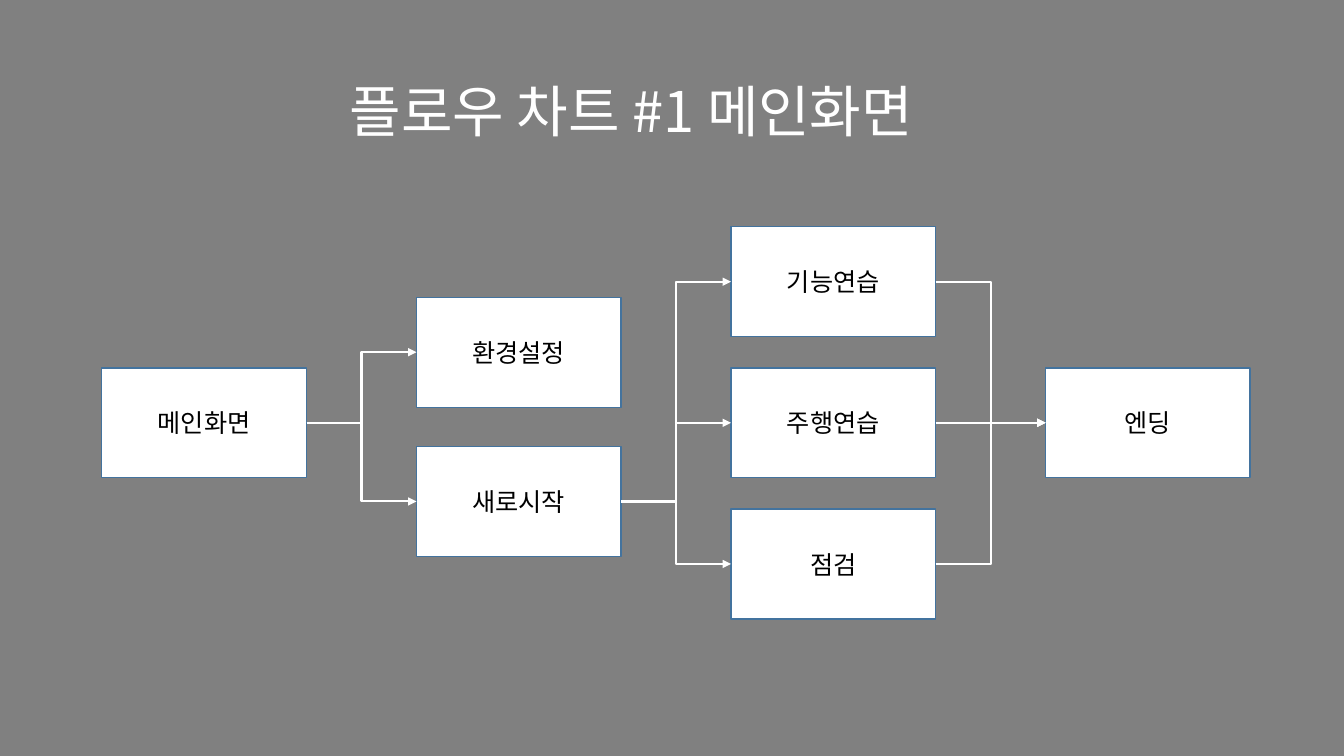
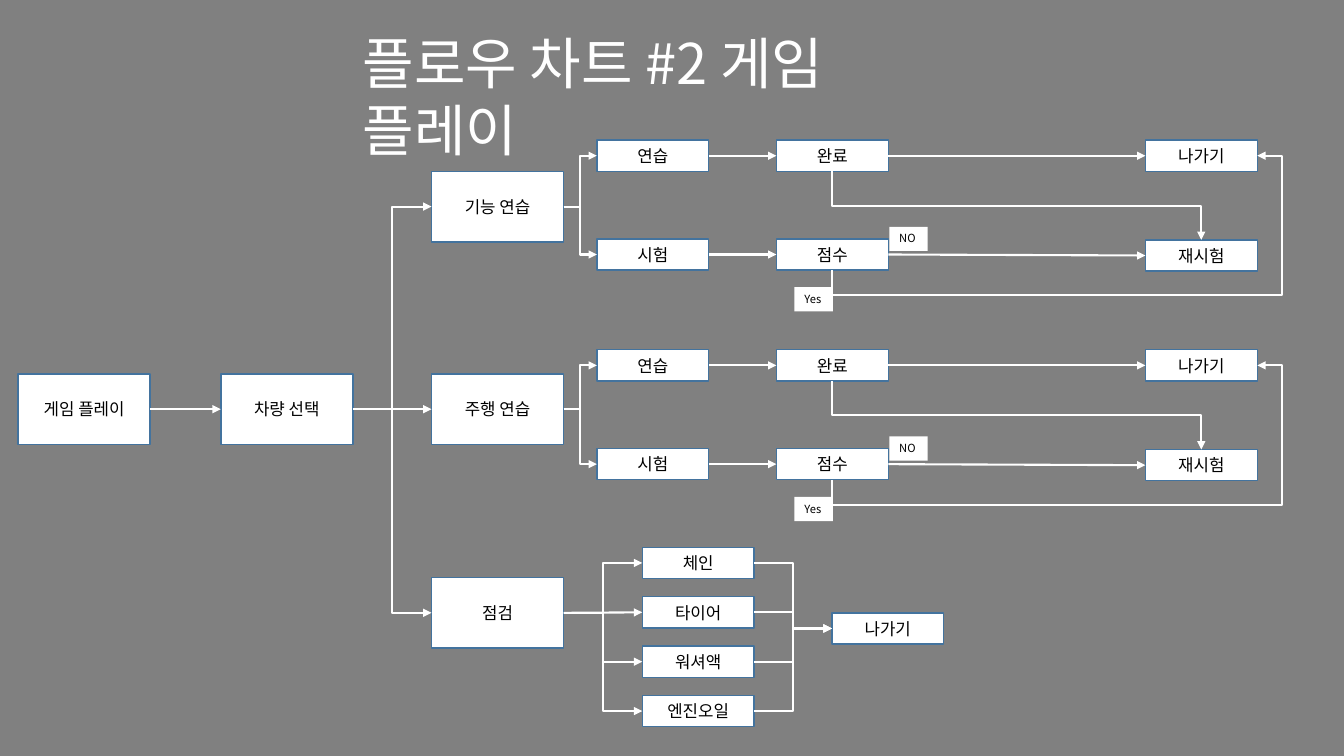
from dataclasses import dataclass

from lxml.etree import SubElement
from pptx import Presentation
from pptx.dml.color import RGBColor
from pptx.enum.shapes import MSO_CONNECTOR, MSO_SHAPE
from pptx.enum.text import MSO_ANCHOR, MSO_AUTO_SIZE, PP_ALIGN
from pptx.oxml.ns import qn
from pptx.shapes.autoshape import Shape
from pptx.shapes.connector import Connector
from pptx.slide import Slide
from pptx.text.text import TextFrame
from pptx.util import Inches, Pt

GRAY = RGBColor(0x80, 0x80, 0x80)
WHITE = RGBColor(0xFF, 0xFF, 0xFF)
BLACK = RGBColor(0x00, 0x00, 0x00)
BLUE = RGBColor(0x43, 0x73, 0x9E)
FONT = "Noto Sans CJK KR"
TOP, LEFT, BOTTOM, RIGHT = range(4)


@dataclass(frozen=True)
class NodeStyle:
    width: float
    height: float
    size: int


@dataclass(frozen=True)
class Point:
    x: float
    y: float


MAIN = NodeStyle(2.03, 1.09, 18)
STAGE = NodeStyle(1.31, 0.7, 12)
STEP = NodeStyle(1.11, 0.31, 12)


@dataclass(frozen=True)
class Node:
    shape: Shape
    left: float
    top: float
    style: NodeStyle

    def site(self, side: int) -> Point:
        across = {LEFT: 0, RIGHT: 1}.get(side, 0.5)
        down = {TOP: 0, BOTTOM: 1}.get(side, 0.5)
        return Point(self.left + across * self.style.width, self.top + down * self.style.height)


def write_text(
    frame: TextFrame,
    text: str,
    *,
    size: int,
    color: RGBColor,
    align: PP_ALIGN = PP_ALIGN.LEFT,
    anchor: MSO_ANCHOR = MSO_ANCHOR.TOP,
    wrap: bool = True,
) -> None:
    frame.word_wrap = wrap
    frame.vertical_anchor = anchor
    para = frame.paragraphs[0]
    para.alignment = align
    span = para.add_run()
    span.text = text
    span.font.size = Pt(size)
    span.font.color.rgb = color
    span.font.name = FONT
    SubElement(span._r.get_or_add_rPr(), qn("a:ea"), typeface=FONT)


def add_page(deck: Presentation, title: str, corner: Point, width: float) -> Slide:
    page = deck.slides.add_slide(deck.slide_layouts[5])
    heading = page.shapes.title
    heading.left, heading.top = Inches(corner.x), Inches(corner.y)
    heading.width, heading.height = Inches(width), Inches(0.77)
    heading.text_frame.auto_size = MSO_AUTO_SIZE.NONE
    write_text(heading.text_frame, title, size=40, color=WHITE)
    return page


def add_node(page: Slide, text: str, left: float, top: float, style: NodeStyle) -> Node:
    shape = page.shapes.add_shape(
        MSO_SHAPE.RECTANGLE, Inches(left), Inches(top), Inches(style.width), Inches(style.height)
    )
    shape.shadow.inherit = False
    shape.fill.solid()
    shape.fill.fore_color.rgb = WHITE
    shape.line.color.rgb = BLUE
    shape.line.width = Pt(1)
    write_text(
        shape.text_frame, text, size=style.size, color=BLACK,
        align=PP_ALIGN.CENTER, anchor=MSO_ANCHOR.MIDDLE,
    )
    return Node(shape, left, top, style)


def add_label(page: Slide, text: str, left: float, top: float) -> None:
    box = page.shapes.add_textbox(Inches(left), Inches(top), Inches(0.38), Inches(0.24))
    box.fill.solid()
    box.fill.fore_color.rgb = WHITE
    write_text(box.text_frame, text, size=8, color=BLACK, wrap=False)


def add_arrow(page: Slide, kind: MSO_CONNECTOR, start: Point, end: Point) -> Connector:
    arrow = page.shapes.add_connector(
        kind, Inches(start.x), Inches(start.y), Inches(end.x), Inches(end.y)
    )
    arrow.line.color.rgb = WHITE
    arrow.line.width = Pt(1.5)
    SubElement(arrow.line._get_or_add_ln(), qn("a:tailEnd"), type="triangle")
    SubElement(arrow._element.spPr, qn("a:effectLst"))
    return arrow


def connect(page: Slide, source: Node, target: Node) -> None:
    start, end = source.site(RIGHT), target.site(LEFT)
    level = abs(start.y - end.y) < 0.03
    kind = MSO_CONNECTOR.STRAIGHT if level else MSO_CONNECTOR.ELBOW
    arrow = add_arrow(page, kind, start, end)
    arrow.begin_connect(source.shape, RIGHT)
    arrow.end_connect(target.shape, LEFT)


def connect_down(
    page: Slide, start: Point, end: Point, bends: tuple[int, ...] = (50000,)
) -> None:
    middle = Point((start.x + end.x) / 2, (start.y + end.y) / 2)

    def turn_back(point: Point) -> Point:
        return Point(middle.x + point.y - middle.y, middle.y - point.x + middle.x)

    arrow = add_arrow(page, MSO_CONNECTOR.ELBOW, turn_back(start), turn_back(end))
    properties = arrow._element.spPr
    properties.find(qn("a:xfrm")).set("rot", "5400000")
    geometry = properties.find(qn("a:prstGeom"))
    geometry.set("prst", f"bentConnector{len(bends) + 2}")
    guides = geometry.find(qn("a:avLst"))
    if guides is None:
        guides = SubElement(geometry, qn("a:avLst"))
    for number, bend in enumerate(bends, 1):
        SubElement(guides, qn("a:gd"), name=f"adj{number}", fmla=f"val {bend}")


def draw_main_screen(deck: Presentation) -> None:
    page = add_page(deck, "플로우 차트 #1 메인화면", Point(3.37, 0.71), 5.92)
    columns = [1.01 + 3.12 * index for index in range(4)]
    start = add_node(page, "메인화면", columns[0], 3.65, MAIN)
    settings = add_node(page, "환경설정", columns[1], 2.95, MAIN)
    new_game = add_node(page, "새로시작", columns[1], 4.43, MAIN)
    ending = add_node(page, "엔딩", columns[3], 3.65, MAIN)
    connect(page, start, settings)
    connect(page, start, new_game)
    for index, text in enumerate(("기능연습", "주행연습", "점검")):
        mode = add_node(page, text, columns[2], 2.25 + 1.4 * index, MAIN)
        connect(page, new_game, mode)
        connect(page, mode, ending)


def draw_practice(page: Slide, stage: Node, top: float) -> None:
    lower = top + 0.98
    practice = add_node(page, "연습", 5.92, top, STEP)
    test = add_node(page, "시험", 5.92, lower, STEP)
    done = add_node(page, "완료", 7.7, top, STEP)
    score = add_node(page, "점수", 7.7, lower, STEP)
    leave = add_node(page, "나가기", 11.36, top, STEP)
    retry = add_node(page, "재시험", 11.36, lower + 0.01, STEP)
    links = (
        (stage, practice), (stage, test), (practice, done),
        (test, score), (done, leave), (score, retry),
    )
    for source, target in links:
        connect(page, source, target)
    connect_down(page, done.site(BOTTOM), retry.site(TOP))
    connect_down(page, score.site(BOTTOM), leave.site(RIGHT), (-22000, 105900))
    add_label(page, "NO", 8.82, top + 0.86)
    add_label(page, "Yes", 7.88, top + 1.46)


def draw_inspection(page: Slide, stage: Node) -> None:
    leave = add_node(page, "나가기", 8.25, 6.08, STEP)
    for index, text in enumerate(("체인", "타이어", "워셔액", "엔진오일")):
        part = add_node(page, text, 6.37, 5.43 + 0.49 * index, STEP)
        connect(page, stage, part)
        connect(page, part, leave)


def draw_game_play(deck: Presentation) -> None:
    page = add_page(deck, "플로우 차트 #2 게임 플레이", Point(3.5, 0.23), 6.23)
    play = add_node(page, "게임 플레이", 0.18, 3.71, STAGE)
    vehicle = add_node(page, "차량 선택", 2.19, 3.71, STAGE)
    connect(page, play, vehicle)
    skills, driving, inspection = (
        add_node(page, text, 4.28, top, STAGE)
        for text, top in (("기능 연습", 1.7), ("주행 연습", 3.71), ("점검", 5.73))
    )
    for stage in (skills, driving, inspection):
        connect(page, vehicle, stage)
    draw_practice(page, skills, 1.39)
    draw_practice(page, driving, 3.47)
    draw_inspection(page, inspection)


def main() -> None:
    deck = Presentation()
    deck.slide_width, deck.slide_height = Inches(13.33), Inches(7.5)
    background = deck.slide_master.background.fill
    background.solid()
    background.fore_color.rgb = GRAY
    draw_main_screen(deck)
    draw_game_play(deck)
    deck.save("out.pptx")


if __name__ == "__main__":
    main()
